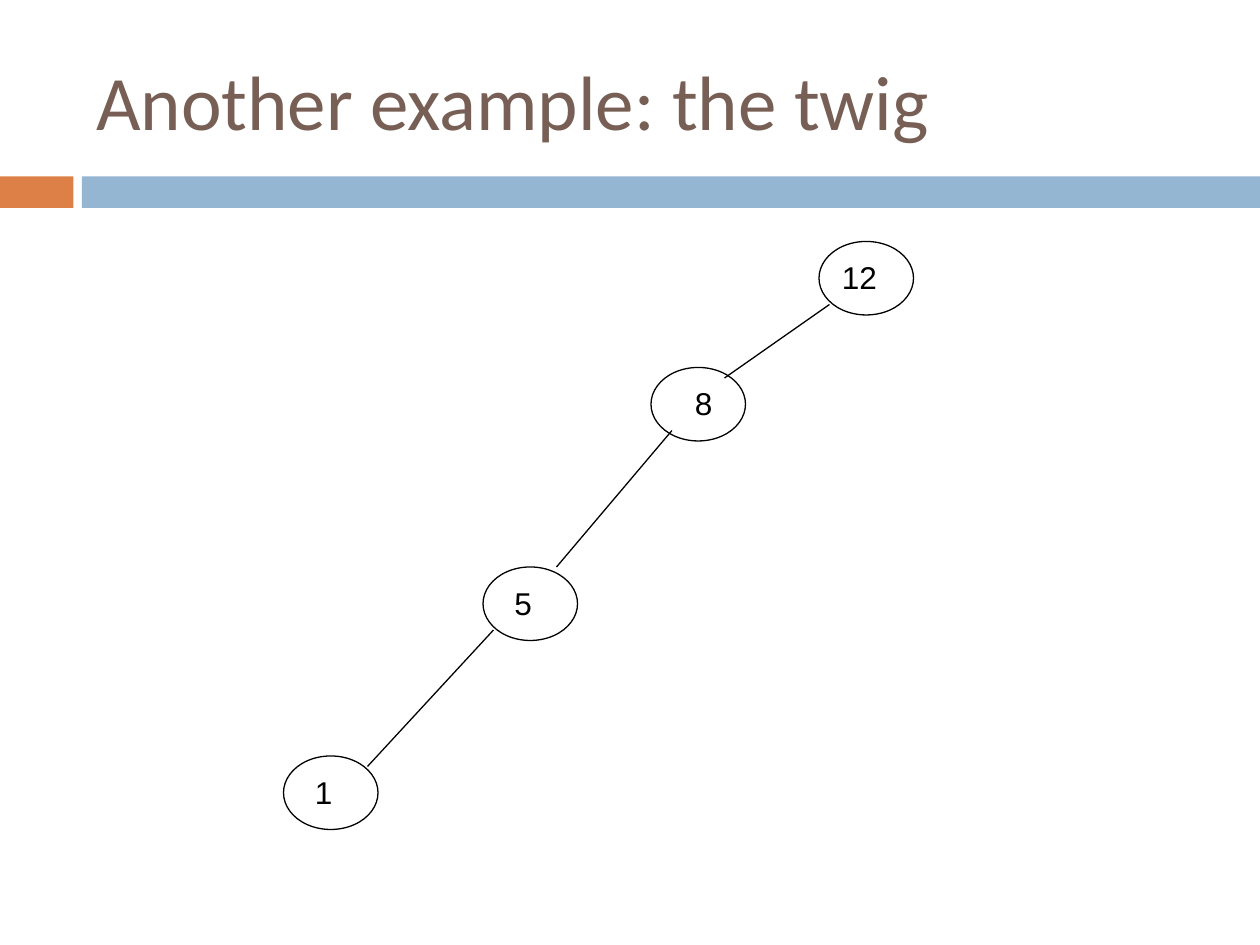
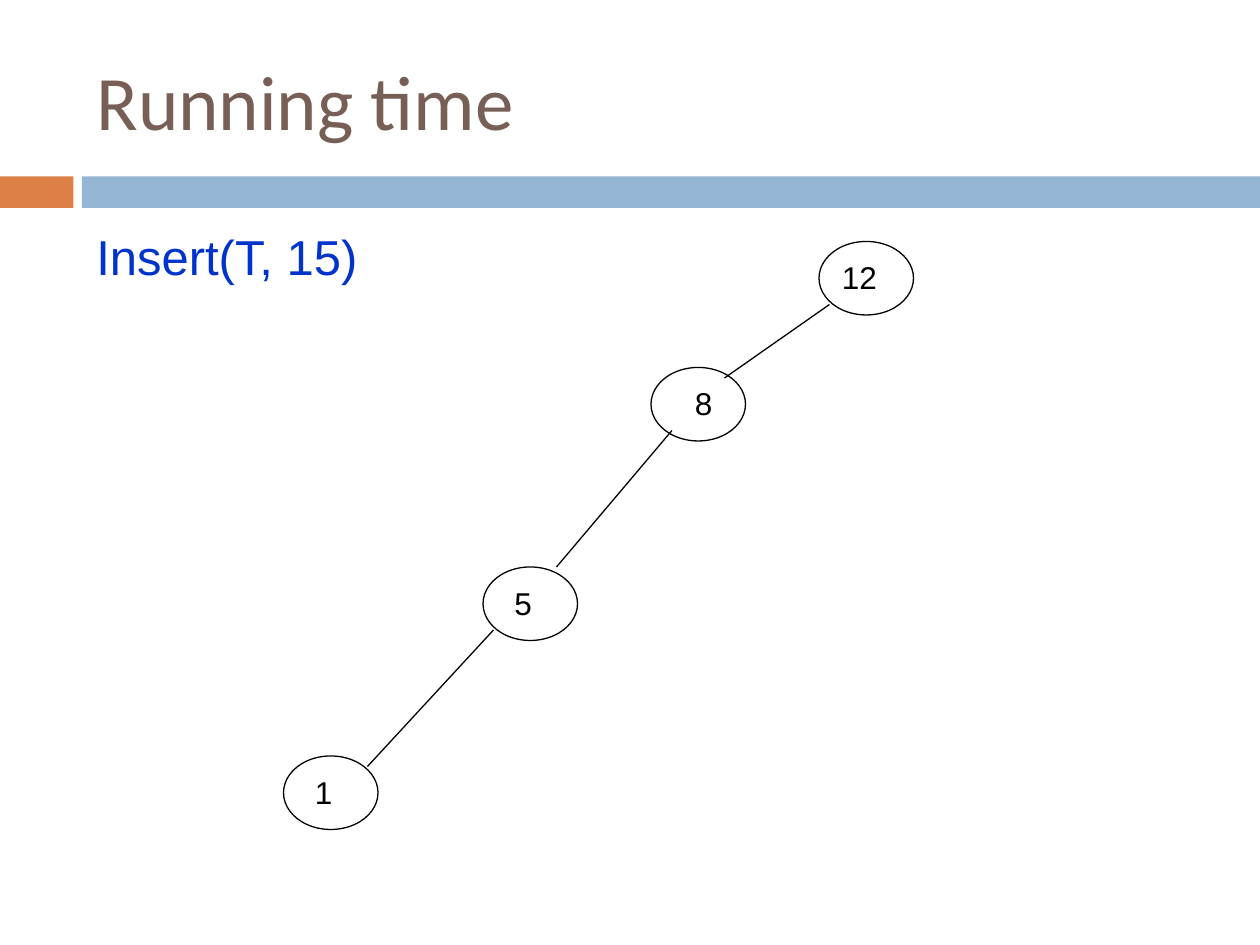
from lxml.etree import SubElement
from pptx import Presentation
from pptx.dml.color import RGBColor
from pptx.enum.shapes import MSO_CONNECTOR, MSO_SHAPE
from pptx.enum.text import MSO_ANCHOR
from pptx.oxml.ns import qn
from pptx.util import Pt

PX = 7620  # 120 px to the inch
SLIDE_W, SLIDE_H = 1200, 900

BLACK = RGBColor(0x00, 0x00, 0x00)
BROWN = RGBColor(0x77, 0x5F, 0x55)
ORANGE = RGBColor(0xDD, 0x80, 0x47)
LIGHT_BLUE = RGBColor(0x94, 0xB6, 0xD2)
BLUE = RGBColor(0x00, 0x33, 0xCC)

TITLE_FONT = dict(name="Calibri", size=Pt(44), color=BROWN)
NODE_FONT = dict(name="Arial", size=Pt(18), color=BLACK)
CALL_FONT = dict(name="Arial", size=Pt(28), color=BLUE)

TITLE_BOX = (80, 30, 1070, 130)
CALL_BOX = (80, 210, 380, 68)
BAND_Y, BAND_H = 168, 30
BANDS = [(0, 70, ORANGE), (78, SLIDE_W - 78, LIGHT_BLUE)]  # left, width, colour

# Each slide: title and the operation called on the tree
SLIDES = [
    ("Another example: the twig", None),
    ("Running time", "Insert(T, 15)"),
]

NODE_W, NODE_H = 90, 70
LABEL_W, LABEL_H, LABEL_DY = 80, 48, 10
# key: left, top, label offset
NODES = {
    "12": (780, 230, 10),
    "8": (620, 350, 30),
    "5": (460, 540, 18),
    "1": (270, 720, 18),
}
# child, offset of the line's start in it, parent, offset of the line's end in it
EDGES = [
    ("5", (70, 0), "8", (20, 60)),
    ("8", (70, 10), "12", (10, 60)),
    ("1", (80, 10), "5", (10, 60)),
]


def px(*lengths):
    return [n * PX for n in lengths]


def add_text(s, box, text, font, anchor=MSO_ANCHOR.TOP):
    tf = s.shapes.add_textbox(*px(*box)).text_frame
    tf.word_wrap = True
    tf.vertical_anchor = anchor
    r = tf.paragraphs[0].add_run()
    r.text = text
    for key, value in font.items():
        if key == "color":
            r.font.color.rgb = value
        else:
            setattr(r.font, key, value)


def set_outline(sp):
    sp.line.color.rgb = BLACK
    sp.line.width = Pt(0.75)


def add_frame(s, title):
    """Draw the bands and the title that every slide has."""
    for left, width, color in BANDS:
        sp = s.shapes.add_shape(MSO_SHAPE.RECTANGLE, *px(left, BAND_Y, width, BAND_H))
        sp.shadow.inherit = False
        sp.fill.solid()
        sp.fill.fore_color.rgb = color
        sp.line.fill.background()
    add_text(s, TITLE_BOX, title, TITLE_FONT, MSO_ANCHOR.MIDDLE)


def add_node(s, key):
    left, top, dx = NODES[key]
    add_text(s, (left + dx, top + LABEL_DY, LABEL_W, LABEL_H), key, NODE_FONT)
    sp = s.shapes.add_shape(MSO_SHAPE.OVAL, *px(left, top, NODE_W, NODE_H))
    sp.shadow.inherit = False
    sp.fill.background()
    set_outline(sp)


def add_edge(s, child, start, parent, end):
    points = [NODES[key][i] + offset[i]
              for key, offset in ((child, start), (parent, end)) for i in (0, 1)]
    line = s.shapes.add_connector(MSO_CONNECTOR.STRAIGHT, *px(*points))
    set_outline(line)
    SubElement(line._element.spPr, qn("a:effectLst"))


def main():
    prs = Presentation()
    prs.slide_width, prs.slide_height = px(SLIDE_W, SLIDE_H)
    for title, call in SLIDES:
        s = prs.slides.add_slide(prs.slide_layouts[6])
        add_frame(s, title)
        for key in NODES:
            add_node(s, key)
        for edge in EDGES:
            add_edge(s, *edge)
        if call:
            add_text(s, CALL_BOX, call, CALL_FONT)
    prs.save("out.pptx")


if __name__ == "__main__":
    main()
